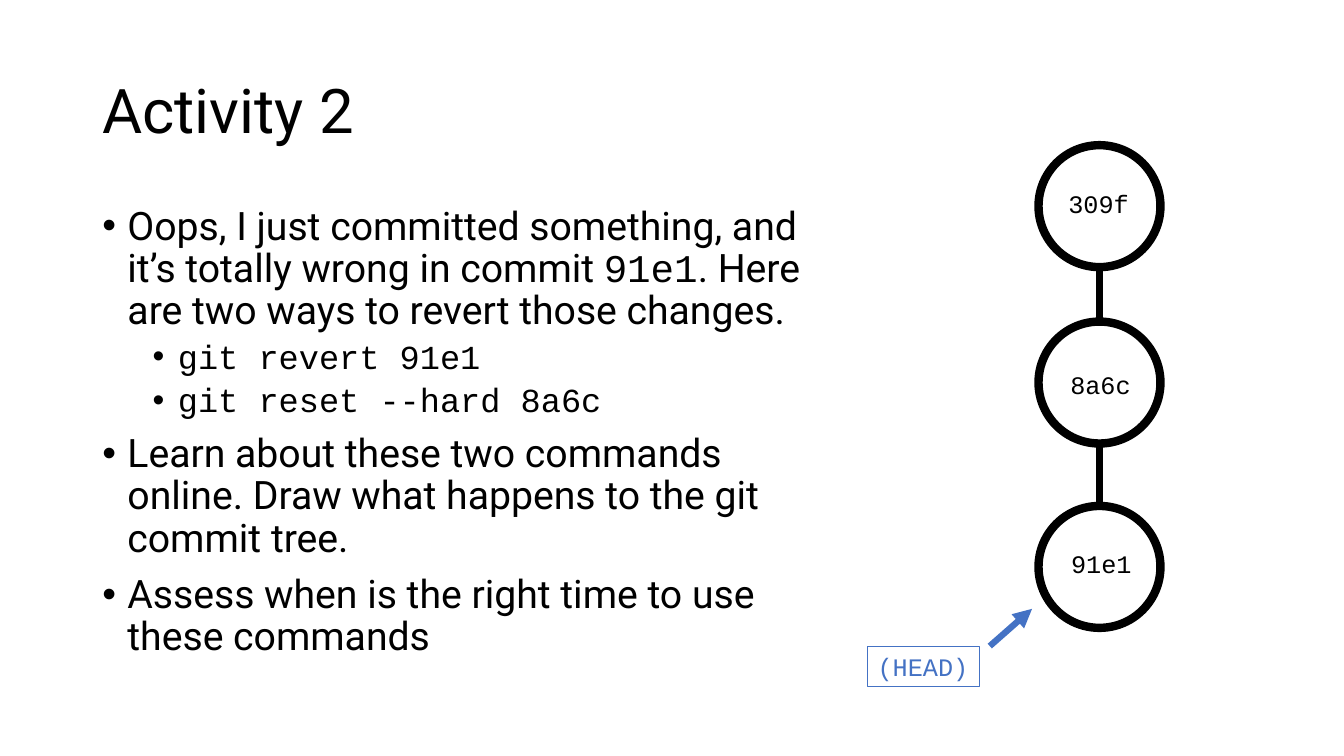
from pptx import Presentation
from pptx.dml.color import RGBColor
from pptx.enum.shapes import MSO_CONNECTOR, MSO_SHAPE
from pptx.enum.text import MSO_ANCHOR, MSO_AUTO_SIZE, PP_ALIGN
from pptx.oxml.ns import qn
from pptx.util import Pt
from lxml import etree

LINE = MSO_CONNECTOR.STRAIGHT
OVAL, RECT = MSO_SHAPE.OVAL, MSO_SHAPE.RECTANGLE
MIDDLE, LEFT = MSO_ANCHOR.MIDDLE, PP_ALIGN.LEFT
FIXED, GROW = MSO_AUTO_SIZE.NONE, MSO_AUTO_SIZE.SHAPE_TO_FIT_TEXT
BLACK = RGBColor(0x00, 0x00, 0x00)
BLUE = RGBColor(0x44, 0x72, 0xC4)
SANS, MONO = "Roboto", "Courier New"

deck = Presentation()
deck.slide_width, deck.slide_height = Pt(960), Pt(540)
slide = deck.slides.add_slide(deck.slide_layouts[5])
shapes = slide.shapes


def add_line(x1, y1, x2, y2, color):
    line = shapes.add_connector(LINE, Pt(x1), Pt(y1), Pt(x2), Pt(y2))
    line.line.color.rgb = color
    line.line.width = Pt(4.5)
    etree.SubElement(line._element.spPr, qn("a:effectLst"))
    return line


def set_label(shape, text, color):
    """Write one unwrapped line of code text into the shape."""
    frame = shape.text_frame
    frame.word_wrap = False
    frame.auto_size = GROW
    para = frame.paragraphs[0]
    para.text = text
    para.alignment = LEFT
    para.font.name, para.font.size = MONO, Pt(18)
    para.font.color.rgb = color


# Title
title = shapes.title
title.left, title.top, title.width, title.height = Pt(66), Pt(28.75), Pt(828), Pt(104.4)
frame = title.text_frame
frame.auto_size = FIXED
frame.vertical_anchor = MIDDLE
para = frame.paragraphs[0]
para.text = "Activity 2"
para.alignment = LEFT
para.line_spacing = 0.9
para.font.name, para.font.size = SANS, Pt(44)
para.font.color.rgb = BLACK

# Bullets: level and runs of text with their font
bullets = [
    (0, [("Oops, I just committed something, and it’s totally wrong in commit ", SANS),
         ("91e1", MONO),
         (". Here are two ways to revert those changes.", SANS)]),
    (1, [("git revert 91e1", MONO)]),
    (1, [("git reset --hard 8a6c", MONO)]),
    (0, [("Learn about these two commands online. "
          "Draw what happens to the git commit tree.", SANS)]),
    (0, [("Assess when is the right time to use these commands", SANS)]),
]
body = shapes.add_textbox(Pt(66), Pt(143.75), Pt(544.3), Pt(342.7))
frame = body.text_frame
frame.word_wrap = True
for i, (level, runs) in enumerate(bullets):
    para = frame.add_paragraph() if i else frame.paragraphs[0]
    para.level = level
    para.line_spacing = 0.9
    para.space_before = Pt(5 if level else 10)
    para.font.size = Pt(24 if level else 28)
    para.font.color.rgb = BLACK
    for text, font in runs:
        run = para.add_run()
        run.text = text
        run.font.name = font
    props = para._p.get_or_add_pPr()
    props.set("marL", str(Pt(18 + 36 * level)))
    props.set("indent", str(-Pt(18)))
    mark = [etree.Element(qn("a:buFont"), typeface="Arial"),
            etree.Element(qn("a:buChar"), char="•")]
    props.find(qn("a:spcBef")).addnext(mark[0])
    mark[0].addnext(mark[1])

# Commit tree: name, circle top, label left and top
SIZE, SIDE = 87.1, 741.8
commits = [
    ("309f", 103.7, 756, 131),
    ("8a6c", 229.7, 757.4, 260.6),
    ("91e1", 361.4, 758, 388.4),
]
end = None
for name, top, x, y in commits:
    ring = shapes.add_shape(OVAL, Pt(SIDE), Pt(top), Pt(SIZE), Pt(SIZE))
    ring.shadow.inherit = False
    ring.fill.background()
    ring.line.color.rgb = BLACK
    ring.line.width = Pt(6)
    if end:
        mid = SIDE + SIZE / 2
        add_line(mid, top, mid, end, BLACK)
    end = top + SIZE
    set_label(shapes.add_textbox(Pt(x), Pt(y), Pt(58.3), Pt(29)), name, BLACK)

# Head pointer
head = shapes.add_shape(RECT, Pt(619.8), Pt(461.5), Pt(80), Pt(29))
head.shadow.inherit = False
head.fill.background()
head.line.color.rgb = BLUE
head.line.width = Pt(0.75)
set_label(head, "(HEAD)", BLUE)
arrow = add_line(707, 461.5, 737.2, 434.9, BLUE)
etree.SubElement(arrow.line._get_or_add_ln(), qn("a:tailEnd"), type="triangle")

deck.save("out.pptx")
